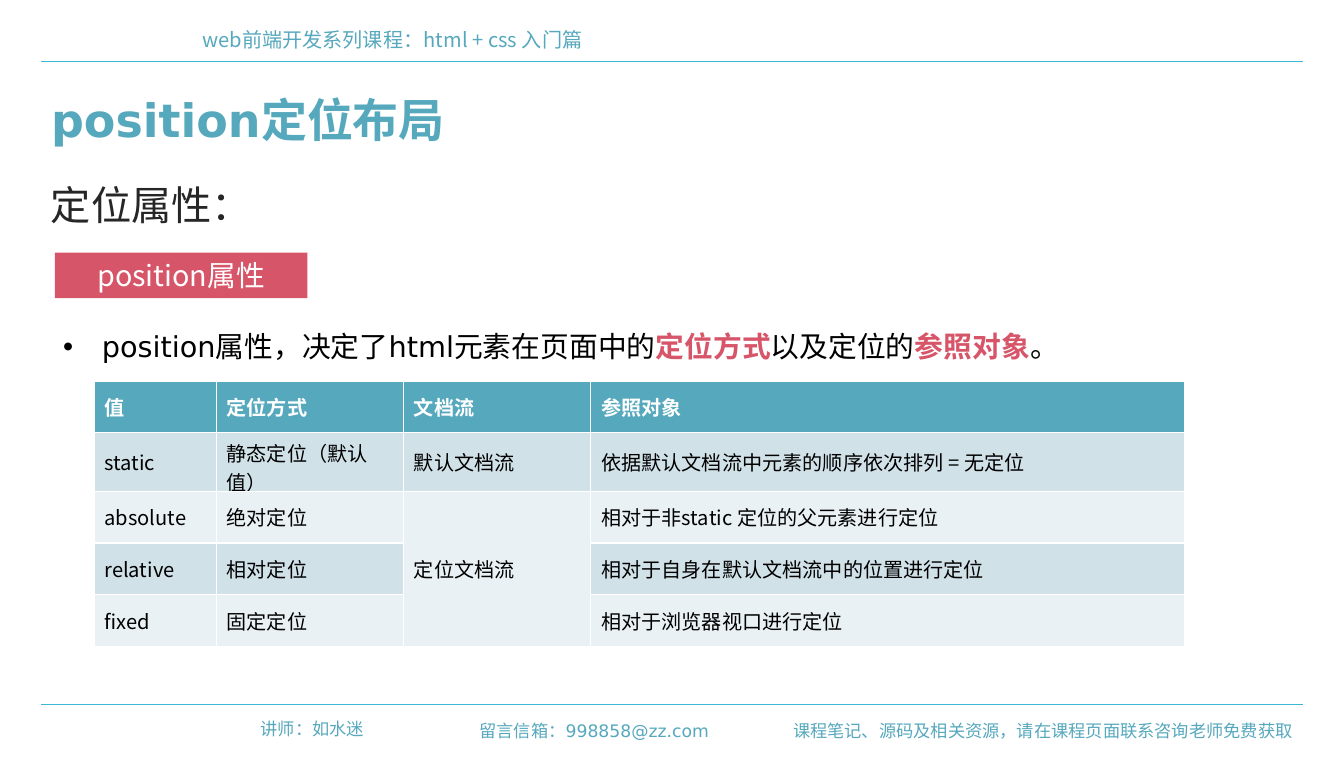
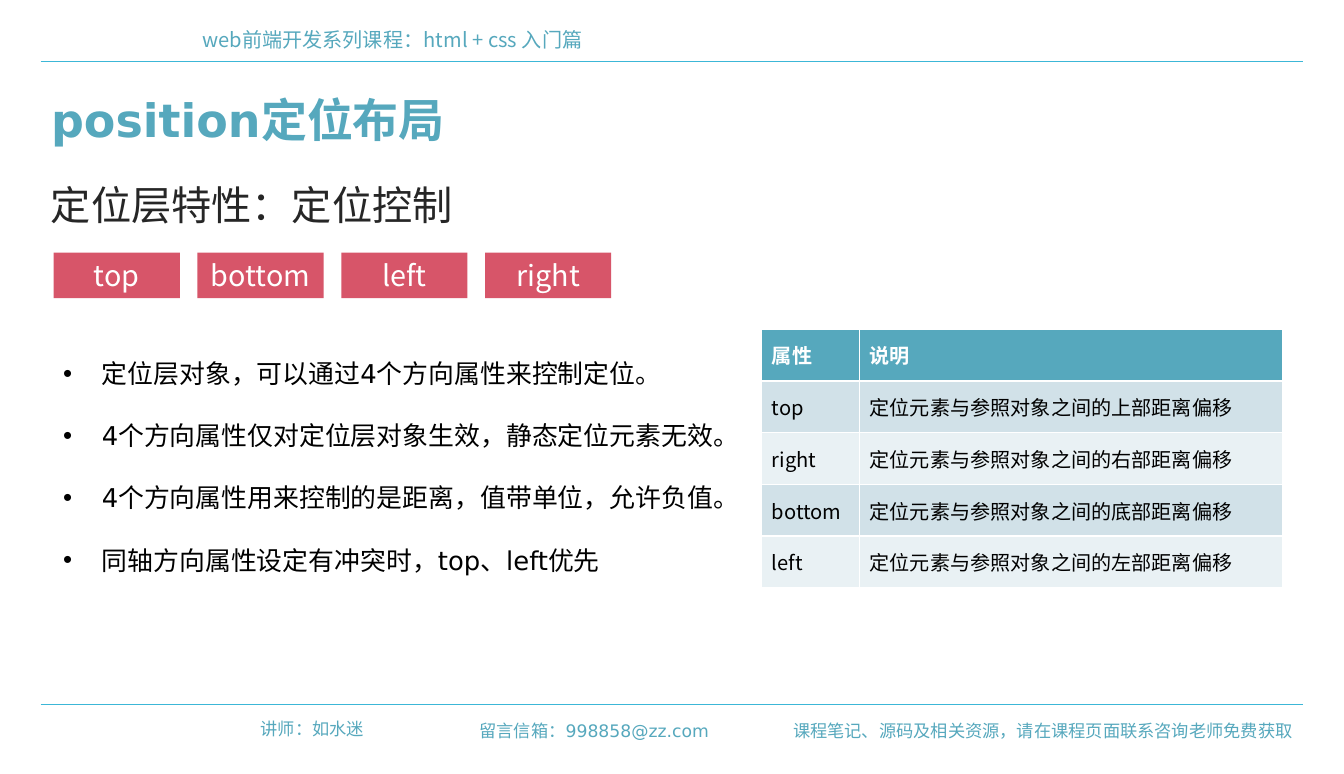
import pptx
import pptx.dml.color
import pptx.enum.shapes
import pptx.enum.text
import pptx.oxml
import pptx.util
from lxml import etree

Cm = pptx.util.Cm
ALIGN = pptx.enum.text.PP_ALIGN
ANCHOR = pptx.enum.text.MSO_ANCHOR
AUTO_SIZE = pptx.enum.text.MSO_AUTO_SIZE

TEAL, RED, RULE = "56A8BD", "D75569", "3CB7D7"
WHITE, BLACK, DARK = "FFFFFF", "000000", "262626"
BANDS = ("D1E1E8", "E9F1F4")
SANS, CJK = "DejaVu Sans", "Noto Sans CJK SC"
ROW_HEIGHT = 1.27
COURSE = "web前端开发系列课程：html + css 入门篇"
CHAPTER = "position定位布局"
FOOTERS = [
    ((5.69, 17.5, 3.5, 0.76), "讲师：如水迷"),
    ((10.9, 17.55, 6.76, 0.76), "留言信箱：998858@zz.com"),
    ((19.1, 17.55, 12.9, 0.76), "课程笔记、源码及相关资源，请在课程页面联系咨询老师免费获取"),
]


def rgb(value):
    return pptx.dml.color.RGBColor.from_string(value)


def lengths(box):
    return [Cm(value) for value in box]


def format_run(run, size, font, color, bold):
    run.font.size = pptx.util.Pt(size)
    run.font.bold = bold
    run.font.color.rgb = rgb(color)
    run.font.name = font
    east_asian = etree.SubElement(run._r.get_or_add_rPr(), pptx.oxml.ns.qn("a:ea"))
    east_asian.set("typeface", CJK)


def add_bullet(paragraph):
    properties = paragraph._p.get_or_add_pPr()
    properties.set("marL", str(Cm(0.95)))
    properties.set("indent", str(Cm(-0.95)))
    for tag, name, value in (("a:buFont", "typeface", "Arial"), ("a:buChar", "char", "•")):
        etree.SubElement(properties, pptx.oxml.ns.qn(tag)).set(name, value)


def write(frame, *paragraphs, size=14, font=CJK, color=BLACK, bold=False,
          align=ALIGN.LEFT, spacing=None, bullet=False):
    """Fill a frame; a paragraph is a string or a list of plain and red bold parts in turn."""
    frame.word_wrap = True
    for number, content in enumerate(paragraphs):
        paragraph = frame.add_paragraph() if number else frame.paragraphs[0]
        paragraph.alignment = align
        if spacing:
            paragraph.line_spacing = spacing
        if bullet:
            add_bullet(paragraph)
        parts = [content] if isinstance(content, str) else content
        for index, part in enumerate(parts):
            run = paragraph.add_run()
            run.text = part
            stressed = index % 2 == 1
            format_run(run, size, font, RED if stressed else color, bold or stressed)


def add_text(slide, box, *paragraphs, **style):
    frame = slide.shapes.add_textbox(*lengths(box)).text_frame
    write(frame, *paragraphs, **style)
    frame.auto_size = AUTO_SIZE.SHAPE_TO_FIT_TEXT


def add_rule(slide, left, right, y):
    rule = slide.shapes.add_connector(
        pptx.enum.shapes.MSO_CONNECTOR.STRAIGHT, Cm(left), Cm(y), Cm(right), Cm(y))
    rule.line.color.rgb = rgb(RULE)
    rule.line.width = pptx.util.Pt(0.75)
    etree.SubElement(rule._element.spPr, pptx.oxml.ns.qn("a:effectLst"))


def add_page(deck, topic):
    """Add a slide with the shared header, title and footer, and its own topic line."""
    slide = deck.slides.add_slide(deck.slide_layouts[5])
    for y in (1.5, 17.3):
        add_rule(slide, 1, 32, y)
    add_text(slide, (4.72, 0.55, 26.7, 0.86), COURSE, color=TEAL)
    for box, text in FOOTERS:
        add_text(slide, box, text, size=12, font=SANS, color=TEAL, align=ALIGN.RIGHT)

    title = slide.shapes.title
    title.left, title.top, title.width, title.height = lengths((1, 2.1, 31, 1.63))
    write(title.text_frame, CHAPTER, size=32, font=SANS, color=TEAL, bold=True)
    title.text_frame.auto_size = AUTO_SIZE.NONE
    title.text_frame.vertical_anchor = ANCHOR.MIDDLE
    add_text(slide, (1, 4.3, 16.9, 1.45), topic, size=28, color=DARK)
    return slide


def add_tags(slide, box, labels, step=0):
    """Place one red tag per label, the first in the box, each a step further right."""
    left, top, width, height = box
    for index, label in enumerate(labels):
        tag = slide.shapes.add_shape(
            pptx.enum.shapes.MSO_SHAPE.RECTANGLE,
            *lengths((left + index * step, top, width, height)))
        tag.shadow.inherit = False
        tag.fill.solid()
        tag.fill.fore_color.rgb = rgb(RED)
        tag.line.fill.background()
        frame = tag.text_frame
        frame.margin_top = frame.margin_bottom = 0
        frame.vertical_anchor = ANCHOR.MIDDLE
        write(frame, label, size=20, color=WHITE, align=ALIGN.CENTER)


def add_points(slide, box, *points, size):
    add_text(slide, box, *points, size=size, font=SANS, spacing=2.0, bullet=True)


def add_grid(slide, left, top, widths, rows):
    """Add a table with a teal header and banded rows; None continues the cell above."""
    table = slide.shapes.add_table(
        len(rows), len(widths),
        *lengths((left, top, sum(widths), ROW_HEIGHT * len(rows)))).table
    for column, width in zip(table.columns, widths):
        column.width = Cm(width)
    for r, row in enumerate(rows):
        table.rows[r].height = Cm(ROW_HEIGHT)
        header = r == 0
        for c, text in enumerate(row):
            cell = table.cell(r, c)
            cell.fill.solid()
            cell.fill.fore_color.rgb = rgb(TEAL if header else BANDS[(r - 1) % 2])
            cell.vertical_anchor = ANCHOR.MIDDLE
            if text is not None:
                write(cell.text_frame, text, color=WHITE if header else BLACK, bold=header)
    for c, column in enumerate(zip(*rows)):
        for r, text in enumerate(column):
            if text is not None:
                last = r
                while last + 1 < len(rows) and column[last + 1] is None:
                    last += 1
                if last > r:
                    table.cell(r, c).merge(table.cell(last, c))


def build_property_slide(deck):
    slide = add_page(deck, "定位属性：")
    add_points(slide, (1.3, 7.11, 29.4, 1.96),
               ["position属性，决定了html元素在页面中的", "定位方式",
                "以及定位的", "参照对象", "。"], size=20)
    add_tags(slide, (1.35, 6.2, 6.2, 1.12), ["position属性"])
    add_grid(slide, 2.31, 9.35, (3, 4.6, 4.6, 14.58), [
        ("值", "定位方式", "文档流", "参照对象"),
        ("static", "静态定位（默认值）", "默认文档流", "依据默认文档流中元素的顺序依次排列 = 无定位"),
        ("absolute", "绝对定位", "定位文档流", "相对于非static 定位的父元素进行定位"),
        ("relative", "相对定位", None, "相对于自身在默认文档流中的位置进行定位"),
        ("fixed", "固定定位", None, "相对于浏览器视口进行定位"),
    ])


def build_control_slide(deck):
    slide = add_page(deck, "定位层特性：定位控制")
    add_points(slide, (1.3, 7.9, 19.43, 6.4),
               "定位层对象，可以通过4个方向属性来控制定位。",
               "4个方向属性仅对定位层对象生效，静态定位元素无效。",
               "4个方向属性用来控制的是距离，值带单位，允许负值。",
               "同轴方向属性设定有冲突时，top、left优先", size=18)
    sides = {"top": "上", "right": "右", "bottom": "底", "left": "左"}
    add_grid(slide, 18.7, 8.08, (2.4, 10.4), [("属性", "说明")] + [
        (name, f"定位元素与参照对象之间的{side}部距离偏移") for name, side in sides.items()])
    add_tags(slide, (1.32, 6.2, 3.1, 1.12), ["top", "bottom", "left", "right"], step=3.53)


def main():
    deck = pptx.Presentation()
    deck.slide_width, deck.slide_height = Cm(33), Cm(19)
    build_property_slide(deck)
    build_control_slide(deck)
    deck.save("out.pptx")


if __name__ == "__main__":
    main()
